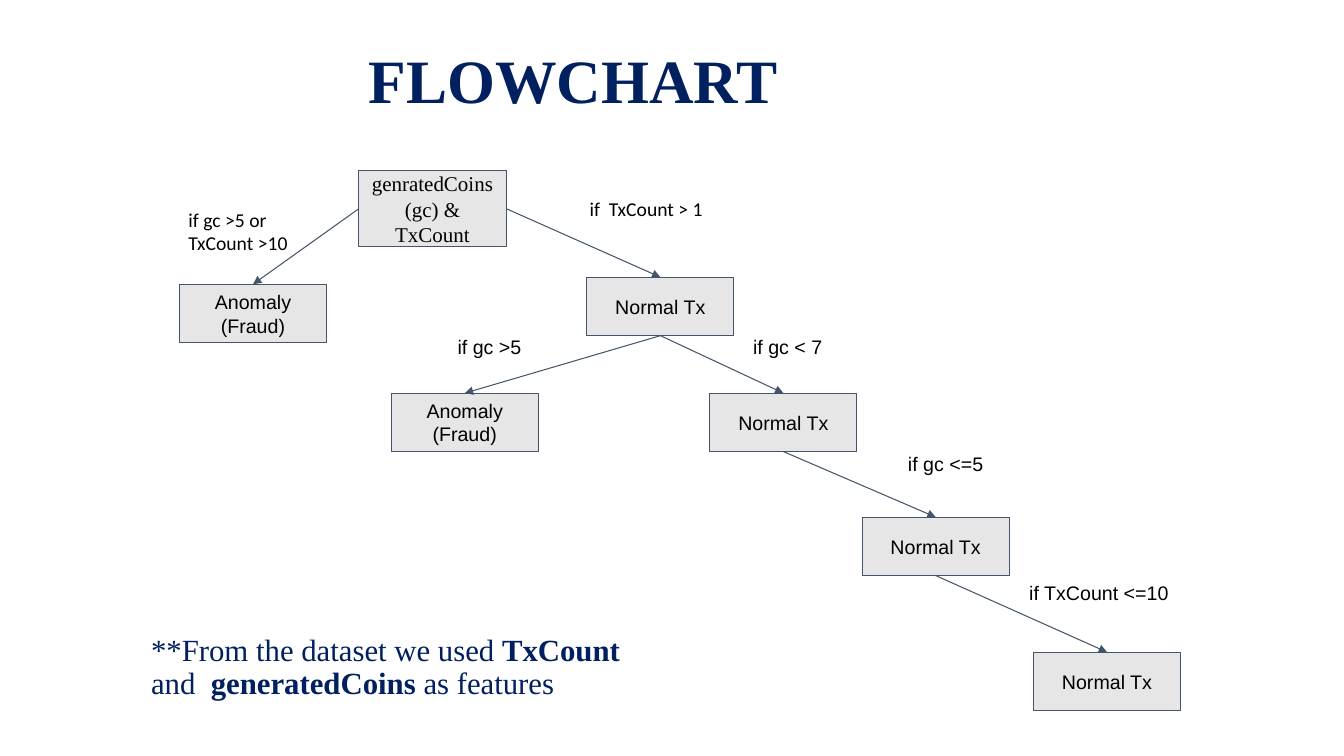
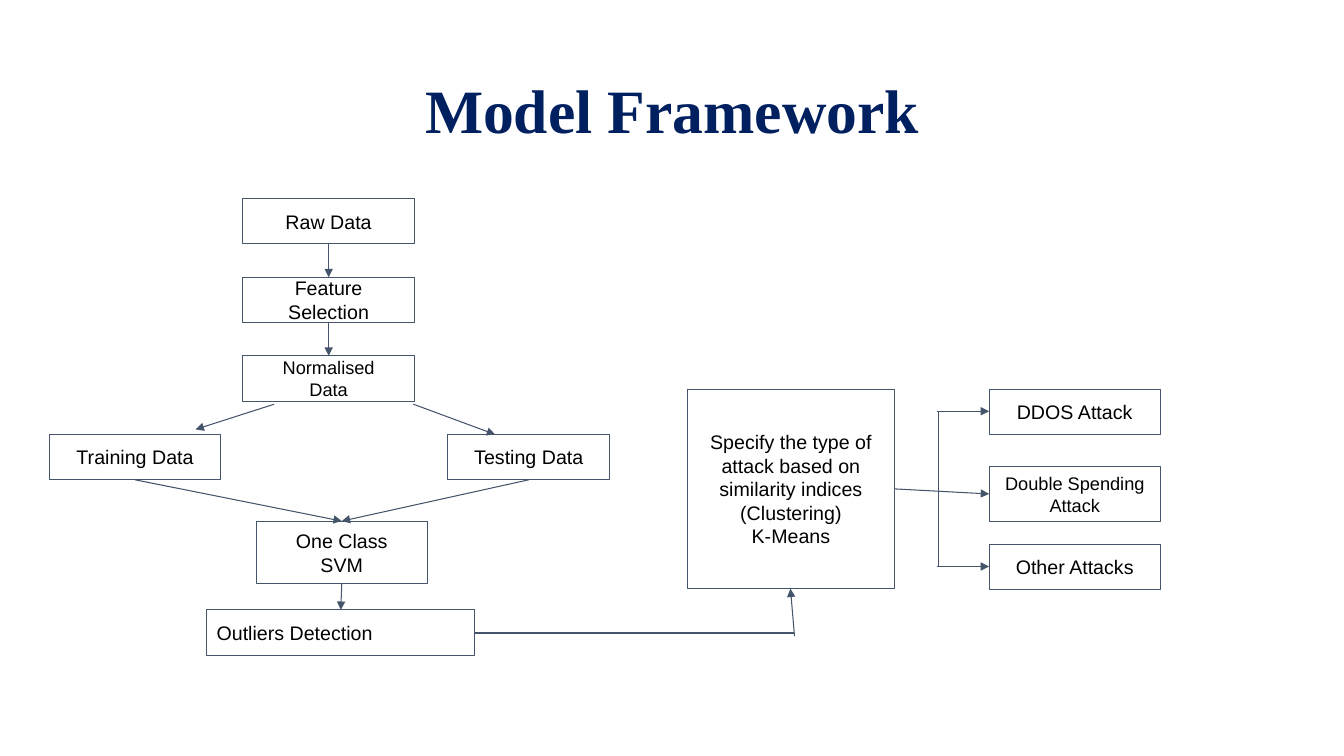
from dataclasses import dataclass

from lxml import etree
from pptx import Presentation
from pptx import util as u
from pptx.dml import color
from pptx.enum import shapes, text
from pptx.oxml import ns

# Shared look
NAVY = color.RGBColor(0x00, 0x20, 0x60)
SLATE = color.RGBColor(0x44, 0x54, 0x6A)
GREY = color.RGBColor(0xE7, 0xE6, 0xE6)
WHITE = color.RGBColor(0xFF, 0xFF, 0xFF)
BLACK = color.RGBColor(0x00, 0x00, 0x00)
SERIF, SANS, LABEL_FONT = "Times New Roman", "Arial", "Calibri"
LEFT, CENTER = text.PP_ALIGN.LEFT, text.PP_ALIGN.CENTER
MIDDLE, TOP_ANCHOR = text.MSO_ANCHOR.MIDDLE, text.MSO_ANCHOR.TOP
LINE_WIDTH = u.Pt(0.75)

# Connection sites of a rectangle
TOP, SIDE_LEFT, BOTTOM, SIDE_RIGHT = range(4)

Place = tuple[float, float, float, float]
Point = tuple[float, float]
Link = tuple[str, int, str, int]


@dataclass(frozen=True)
class Node:
    key: str
    place: Place
    words: str
    size: int = 14
    font: str = SANS
    align: text.PP_ALIGN = CENTER


@dataclass(frozen=True)
class Label:
    place: Place
    words: str
    font: str = SANS
    align: text.PP_ALIGN = LEFT


@dataclass(frozen=True)
class Line:
    start: Point
    end: Point
    arrow: bool = True


# Slide 1: decision tree
TREE_W, TREE_H = 1.46, 0.58
TREE_NODES = [
    Node("root", (3.56, 1.69, TREE_W, 0.76), "genratedCoins(gc) & TxCount", 15, SERIF),
    Node("fraud 1", (1.78, 2.82, TREE_W, TREE_H), "Anomaly\n(Fraud)"),
    Node("fraud 2", (3.88, 3.9, TREE_W, TREE_H), "Anomaly\n(Fraud)"),
] + [
    Node(f"normal {number}", (left, top, TREE_W, TREE_H), "Normal Tx")
    for number, (left, top) in enumerate(
        [(5.82, 2.75), (7.04, 3.9), (8.55, 5.13), (10.25, 6.47)], start=1)
]
TREE_LINKS: list[Link] = [
    ("root", SIDE_LEFT, "fraud 1", TOP),
    ("root", SIDE_RIGHT, "normal 1", TOP),
    ("normal 1", BOTTOM, "fraud 2", TOP),
    ("normal 1", BOTTOM, "normal 2", TOP),
    ("normal 2", BOTTOM, "normal 3", TOP),
    ("normal 3", BOTTOM, "normal 4", TOP),
]
TREE_LABELS = [
    Label((1.77, 1.96, 1.22, 0.67), "if gc >5 or TxCount >10", LABEL_FONT),
    Label((5.75, 1.85, 1.54, 0.44), "if  TxCount > 1", LABEL_FONT),
    Label((3.88, 3.22, 1.95, 0.44), "if gc >5", align=CENTER),
    Label((7.37, 3.22, 1.91, 0.44), "if gc < 7"),
    Label((8.65, 4.38, 1.46, 0.44), "if gc <=5", align=CENTER),
    Label((10.11, 5.66, 1.84, 0.44), "if TxCount <=10"),
]
NOTE_SPANS = [
    ("**From the dataset we used ", False),
    ("TxCount", True),
    (" and  ", False),
    ("generatedCoins ", True),
    ("as features", False),
]

# Slide 2: processing steps
STEP_W, STEP_H = 1.7, 0.45
STEP_NODES = [
    Node(key, (2.41, 1.97 + 0.78 * row, STEP_W, STEP_H), words, size)
    for row, (key, words, size) in enumerate([
        ("raw", "Raw Data", 14),
        ("feature", "Feature Selection", 14),
        ("normalised", "Normalised\nData", 13),
    ])
] + [
    Node("training", (0.49, 4.31, STEP_W, STEP_H), "Training Data"),
    Node("testing", (4.44, 4.31, 1.61, STEP_H), "Testing Data"),
    Node("svm", (2.54, 5.17, STEP_W, 0.62), "One Class\nSVM"),
    Node("outliers", (2.05, 6.05, 2.66, STEP_H), "Outliers Detection", align=LEFT),
    Node("cluster", (6.82, 3.86, 2.05, 1.98),
         "Specify the type of attack based on similarity indices\n(Clustering)\nK-Means"),
    Node("ddos", (9.81, 3.86, STEP_W, STEP_H), "DDOS Attack"),
    Node("double", (9.81, 4.63, STEP_W, 0.54), "Double Spending Attack", 13),
    Node("other", (9.81, 5.4, STEP_W, STEP_H), "Other Attacks"),
]
STEP_LINKS: list[Link] = [
    ("raw", BOTTOM, "feature", TOP),
    ("feature", BOTTOM, "normalised", TOP),
    ("training", BOTTOM, "svm", TOP),
    ("testing", BOTTOM, "svm", TOP),
    ("svm", BOTTOM, "outliers", TOP),
    ("cluster", SIDE_RIGHT, "double", SIDE_LEFT),
]
STEP_LINES = [
    Line((4.1, 4.01), (4.91, 4.31)),
    Line((2.72, 4.01), (1.94, 4.26)),
    Line((4.71, 6.28), (7.88, 6.28), arrow=False),
    Line((7.88, 6.31), (7.84, 5.84)),
    Line((9.31, 4.08), (9.31, 5.62), arrow=False),
    Line((9.29, 4.08), (9.81, 4.08)),
    Line((9.29, 5.62), (9.81, 5.62)),
]


def apply(target, values: dict) -> None:
    for name, value in values.items():
        setattr(target, name, value)


def inches(place: tuple) -> list[u.Inches]:
    return [u.Inches(value) for value in place]


def set_frame(frame, anchor, inset_y: float = 0.1) -> None:
    apply(frame, {
        "word_wrap": True,
        "vertical_anchor": anchor,
        "margin_left": u.Inches(0.1),
        "margin_right": u.Inches(0.1),
        "margin_top": u.Inches(inset_y),
        "margin_bottom": u.Inches(inset_y),
    })


def add_span(para, words: str, size: int, font: str, ink=BLACK, bold: bool = False) -> None:
    span = para.add_run()
    span.text = words
    apply(span.font, {"size": u.Pt(size), "name": font, "bold": bold})
    span.font.color.rgb = ink


def write(frame, words: str, size: int, font: str, align) -> None:
    for index, line in enumerate(words.split("\n")):
        para = frame.add_paragraph() if index else frame.paragraphs[0]
        para.alignment = align
        add_span(para, line, size, font)


def add_title(page, place: Place, words: str, align) -> None:
    frame = page.shapes.add_textbox(*inches(place)).text_frame
    set_frame(frame, MIDDLE, 0.05)
    para = frame.paragraphs[0]
    apply(para, {"alignment": align, "line_spacing": 0.9})
    add_span(para, words, 44, SERIF, NAVY, True)


def add_node(page, node: Node, fill: color.RGBColor):
    box = page.shapes.add_shape(shapes.MSO_SHAPE.RECTANGLE, *inches(node.place))
    box.shadow.inherit = False
    box.fill.solid()
    box.fill.fore_color.rgb = fill
    box.line.color.rgb = SLATE
    box.line.width = LINE_WIDTH
    set_frame(box.text_frame, MIDDLE)
    write(box.text_frame, node.words, node.size, node.font, node.align)
    return box


def add_line(page, line: Line):
    connector = page.shapes.add_connector(
        shapes.MSO_CONNECTOR.STRAIGHT, *inches(line.start + line.end))
    connector.line.color.rgb = SLATE
    connector.line.width = LINE_WIDTH
    properties = connector.element.spPr
    if line.arrow:
        outline = properties.find(ns.qn("a:ln"))
        etree.SubElement(outline, ns.qn("a:tailEnd"), type="triangle")
    etree.SubElement(properties, ns.qn("a:effectLst"))
    return connector


def add_diagram(page, nodes: list[Node], links: list[Link], fill: color.RGBColor) -> None:
    boxes = {node.key: add_node(page, node, fill) for node in nodes}
    for source, source_site, target, target_site in links:
        connector = add_line(page, Line((0, 0), (1, 1)))
        connector.begin_connect(boxes[source], source_site)
        connector.end_connect(boxes[target], target_site)


def add_label(page, label: Label) -> None:
    frame = page.shapes.add_textbox(*inches(label.place)).text_frame
    set_frame(frame, TOP_ANCHOR)
    frame.auto_size = text.MSO_AUTO_SIZE.SHAPE_TO_FIT_TEXT
    write(frame, label.words, 14, label.font, label.align)


def add_note(page) -> None:
    frame = page.shapes.add_textbox(*inches((1.4, 6.2, 5.16, 0.87))).text_frame
    set_frame(frame, TOP_ANCHOR)
    para = frame.paragraphs[0]
    apply(para, {"line_spacing": 0.9, "space_before": u.Pt(10)})
    for words, bold in NOTE_SPANS:
        add_span(para, words, 22, SERIF, NAVY, bold)


def main() -> None:
    deck = Presentation()
    apply(deck, {"slide_width": u.Inches(13.33), "slide_height": u.Inches(7.5)})
    blank = deck.slide_layouts[6]

    # Flowchart
    page = deck.slides.add_slide(blank)
    add_title(page, (3.56, 0.25, 8.67, 1.15), "FLOWCHART", LEFT)
    add_diagram(page, TREE_NODES, TREE_LINKS, GREY)
    for label in TREE_LABELS:
        add_label(page, label)
    add_note(page)

    # Model framework
    page = deck.slides.add_slide(blank)
    add_title(page, (0.92, 0.4, 11.5, 1.45), "Model Framework", CENTER)
    add_diagram(page, STEP_NODES, STEP_LINKS, WHITE)
    for line in STEP_LINES:
        add_line(page, line)

    deck.save("out.pptx")


if __name__ == "__main__":
    main()
